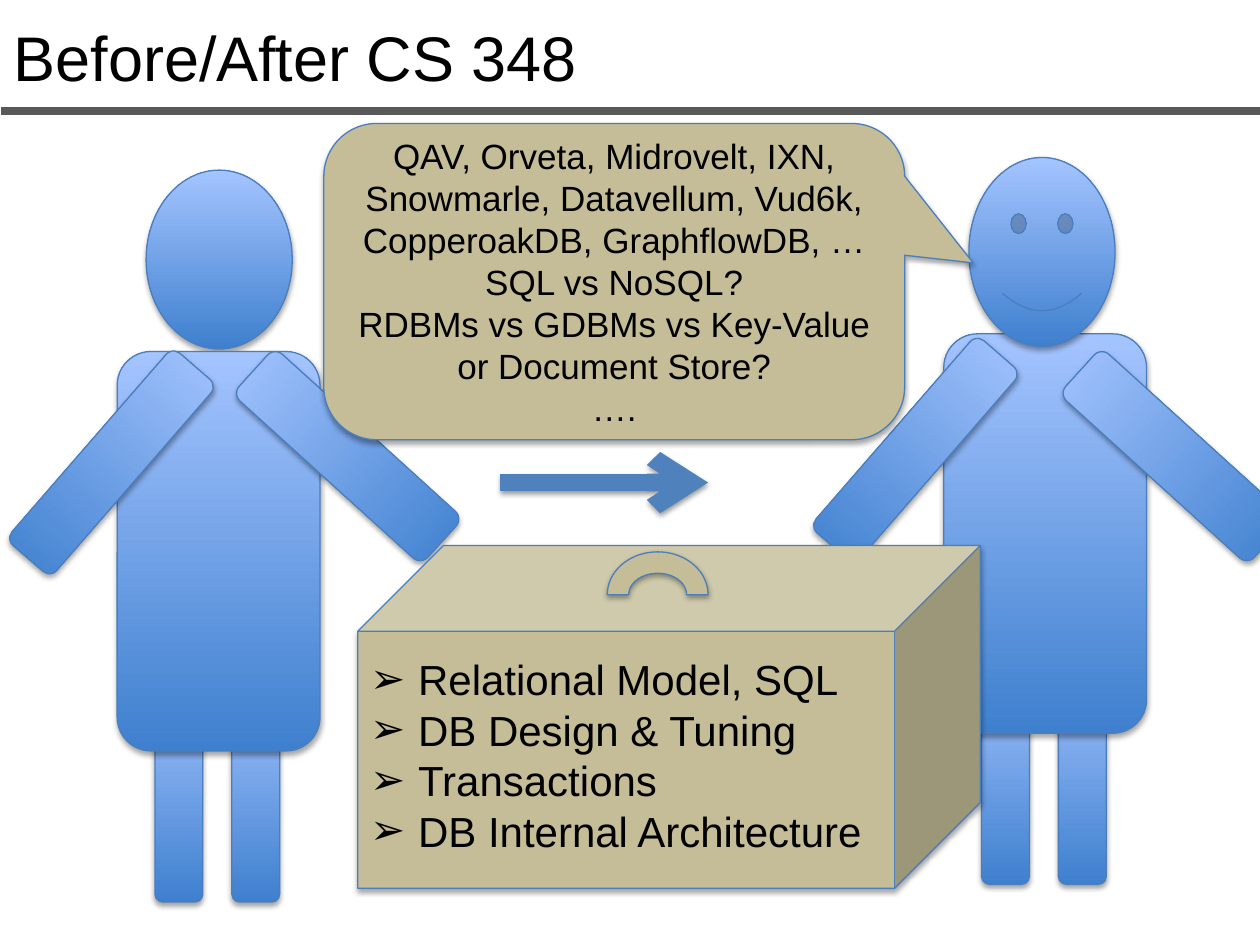
from dataclasses import dataclass

from lxml.etree import SubElement
from pptx import Presentation
from pptx.dml.color import RGBColor
from pptx.enum.shapes import MSO_CONNECTOR as Connector, MSO_SHAPE as Preset
from pptx.enum.text import MSO_ANCHOR as Anchor, MSO_AUTO_SIZE as AutoSize, PP_ALIGN as Align
from pptx.oxml.ns import qn
from pptx.util import Emu, Pt

EMU_PER_PX = 9144
FONT = "Arial"
COLORS = {
    "text": "000000",
    "rule": "595959",
    "arrow": "4F81BD",
    "outline": "4B7EBC",
    "body_dark": "3F80CE",
    "body_light": "A4C4FF",
    "tan": "C4BD97",
    "shadow": "000000",
}


@dataclass(frozen=True)
class Part:
    preset: Preset
    left: int
    top: int
    width: int
    height: int
    rotation: float = 0
    fill: str | None = None
    adjustments: tuple[float, ...] = ()


@dataclass(frozen=True)
class Stroke:
    left: int
    right: int
    y: int
    color: str
    weight: float
    arrow: bool = False


def px(length: int) -> Emu:
    return Emu(length * EMU_PER_PX)


def color(key: str) -> RGBColor:
    return RGBColor.from_string(COLORS[key])


def cast_shadow(effects, distance: float, opacity: int) -> None:
    shadow = SubElement(effects, qn("a:outerShdw"), blurRad=str(Pt(3.1)), dist=str(Pt(distance)),
                        dir="5400000", rotWithShape="0")
    tone = SubElement(shadow, qn("a:srgbClr"), val=COLORS["shadow"])
    SubElement(tone, qn("a:alpha"), val=str(opacity * 1000))


def draw_part(slide, part: Part):
    shape = slide.shapes.add_shape(part.preset, px(part.left), px(part.top),
                                   px(part.width), px(part.height))
    shape.rotation = part.rotation
    for index, value in enumerate(part.adjustments):
        shape.adjustments[index] = value
    if part.fill:
        shape.fill.solid()
        shape.fill.fore_color.rgb = color(part.fill)
    else:
        shape.fill.gradient()
        shape.fill.gradient_angle = 90
        for stop, key in zip(shape.fill.gradient_stops, ("body_dark", "body_light")):
            stop.color.rgb = color(key)
    shape.line.color.rgb = color("outline")
    shape.line.width = Pt(0.75)
    shape.shadow.inherit = False
    cast_shadow(shape._element.spPr.find(qn("a:effectLst")), 1.8, 35)
    return shape


def draw_stroke(slide, stroke: Stroke) -> None:
    connector = slide.shapes.add_connector(Connector.STRAIGHT, px(stroke.left), px(stroke.y),
                                           px(stroke.right), px(stroke.y))
    connector.line.color.rgb = color(stroke.color)
    connector.line.width = Pt(stroke.weight)
    effects = SubElement(connector._element.spPr, qn("a:effectLst"))
    if stroke.arrow:
        SubElement(connector.line._get_or_add_ln(), qn("a:tailEnd"), type="arrow")
        cast_shadow(effects, 1.6, 38)


def write(frame, *lines: str, size: int, align: Align = Align.LEFT, anchor: Anchor = Anchor.TOP,
          bullet: str = "", indent: int = 0, grow: bool = False) -> None:
    frame.word_wrap = True
    frame.vertical_anchor = anchor
    frame.auto_size = AutoSize.SHAPE_TO_FIT_TEXT if grow else AutoSize.NONE
    for index, line in enumerate(lines):
        paragraph = frame.paragraphs[0] if index == 0 else frame.add_paragraph()
        paragraph.alignment = align
        if bullet:
            properties = paragraph._p.get_or_add_pPr()
            properties.set("marL", str(px(indent)))
            properties.set("indent", str(-px(indent)))
            SubElement(properties, qn("a:buFont"), typeface=FONT)
            SubElement(properties, qn("a:buChar"), char=bullet)
        run = paragraph.add_run()
        run.text = line
        run.font.name = FONT
        run.font.size = Pt(size)
        run.font.color.rgb = color("text")


def text_frame(slide, left: int, top: int, width: int, height: int):
    return slide.shapes.add_textbox(px(left), px(top), px(width), px(height)).text_frame


def torso(left: int, top: int) -> list[Part]:
    legs = [Part(Preset.ROUNDED_RECTANGLE, left + offset, top + 261, 38, 176) for offset in (30, 91)]
    return legs + [Part(Preset.ROUNDED_RECTANGLE, left, top, 161, 317)]


def left_arm(left: int, top: int) -> Part:
    return Part(Preset.ROUNDED_RECTANGLE, left, top, 47, 202, rotation=41)


def right_arm(left: int, top: int) -> Part:
    return Part(Preset.ROUNDED_RECTANGLE, left, top, 50, 202, rotation=312.2)


def main() -> None:
    deck = Presentation()
    deck.slide_width, deck.slide_height = px(1000), px(750)
    slide = deck.slides.add_slide(deck.slide_layouts[6])

    write(text_frame(slide, 1, 10, 862, 71), "Before/After CS 348", size=36, grow=True)
    draw_stroke(slide, Stroke(1, 1001, 88, "rule", 4.5))

    student_before = [Part(Preset.OVAL, 116, 135, 116, 142), *torso(93, 279), left_arm(65, 266)]
    student_after = [*torso(749, 265), left_arm(703, 256),
                     Part(Preset.SMILEY_FACE, 769, 125, 116, 150)]
    right_arms = [right_arm(left, 261) for left in (251, 907)]
    for part in student_before + student_after + right_arms:
        draw_part(slide, part)

    draw_stroke(slide, Stroke(397, 562, 383, "arrow", 10, arrow=True))

    draw_part(slide, Part(Preset.CUBE, 284, 433, 494, 272, fill="tan"))
    draw_part(slide, Part(Preset.BLOCK_ARC, 482, 438, 80, 68, fill="tan"))
    write(text_frame(slide, 284, 514, 434, 172),
          "Relational Model, SQL",
          "DB Design & Tuning",
          "Transactions",
          "DB Internal Architecture",
          size=24, bullet="➢", indent=38, grow=True)

    speech = draw_part(slide, Part(Preset.ROUNDED_RECTANGULAR_CALLOUT, 257, 98, 461, 251,
                                   fill="tan", adjustments=(0.618, -0.059, 0.167)))
    write(speech.text_frame,
          "QAV, Orveta, Midrovelt, IXN, Snowmarle, Datavellum, Vud6k, "
          "CopperoakDB, GraphflowDB, …",
          "SQL vs NoSQL?",
          "RDBMs vs GDBMs vs Key-Value or Document Store?",
          "….",
          size=20, align=Align.CENTER, anchor=Anchor.MIDDLE)

    deck.save("out.pptx")


if __name__ == "__main__":
    main()
